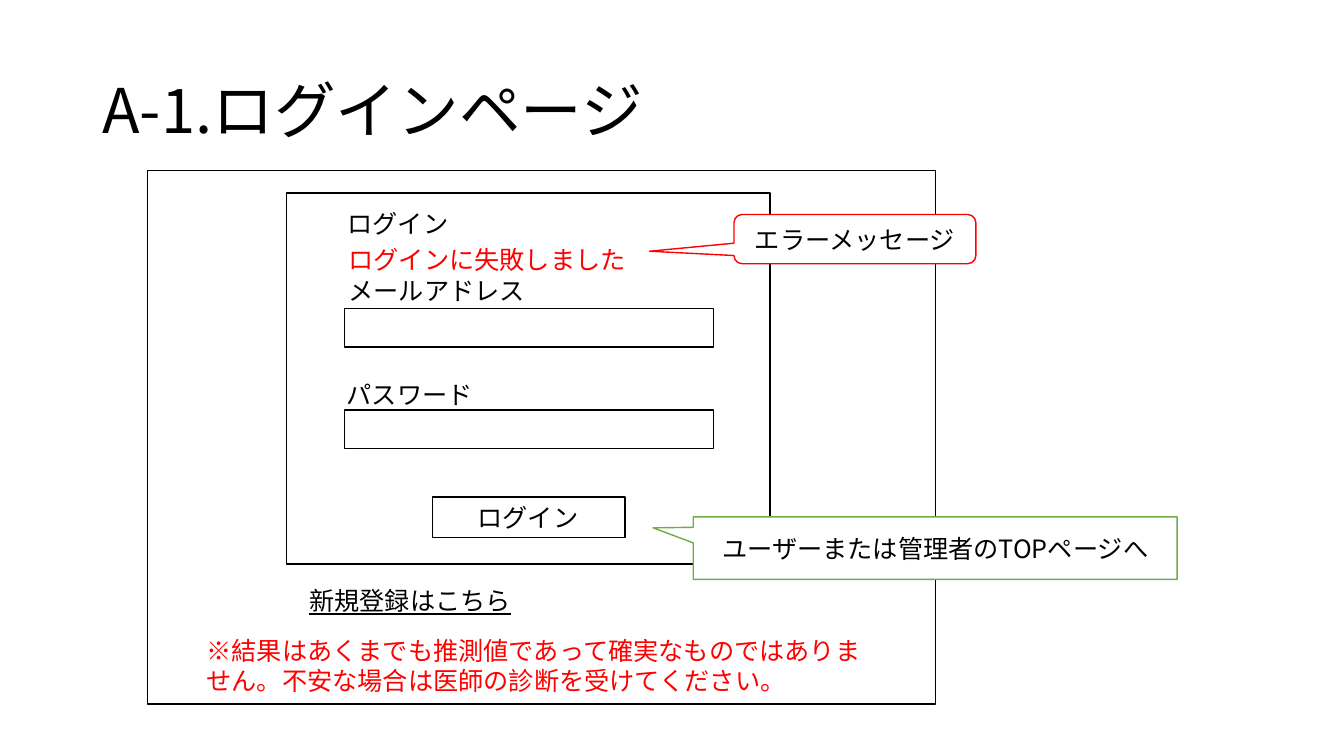
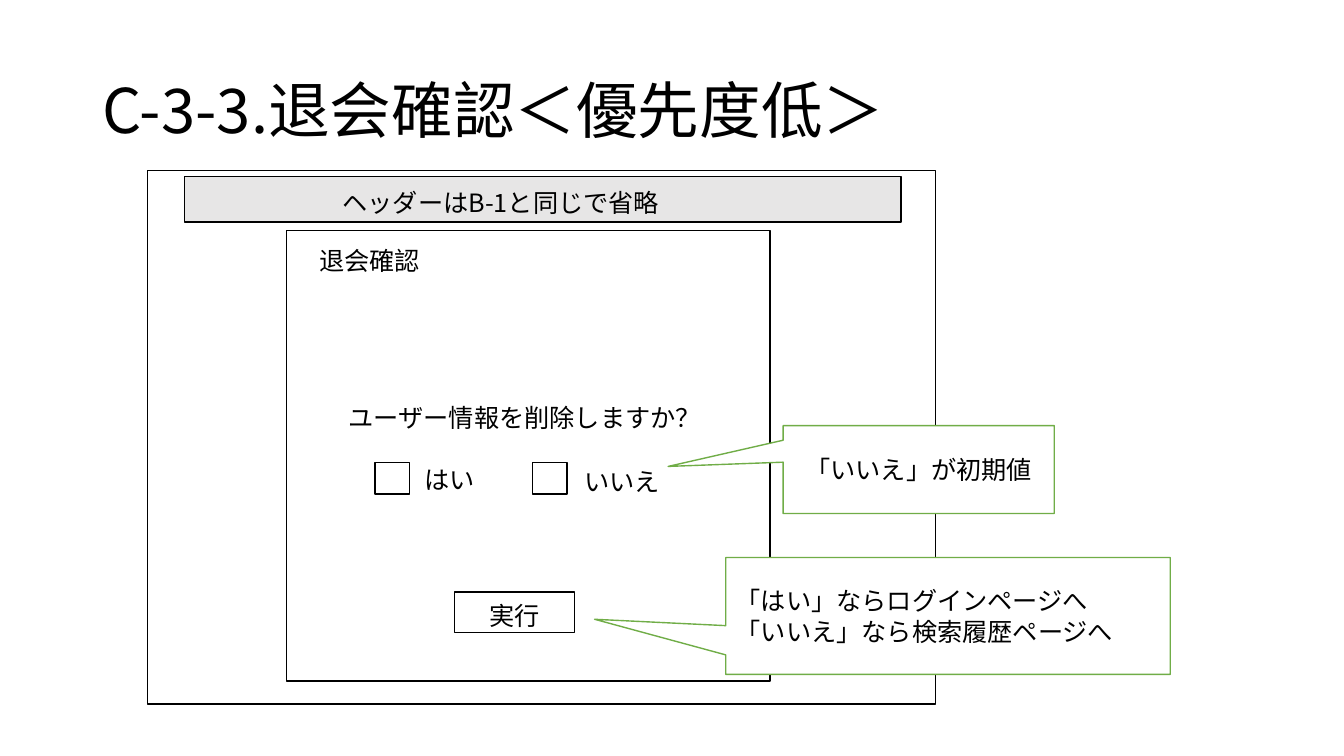
from dataclasses import dataclass

from lxml import etree
from pptx import Presentation
from pptx import util as u
from pptx.dml.color import RGBColor
from pptx.enum import shapes, text
from pptx.oxml import ns


@dataclass(frozen=True)
class Theme:
    font: str = "Noto Sans CJK JP"
    ink: str = "000000"
    paper: str = "FFFFFF"
    alert: str = "FF0000"
    note: str = "70AD47"
    header: str = "E7E6E6"
    title_size: int = 44
    body_size: int = 18
    line_width: int = 1


def set_attributes(target, values):
    for name, value in values.items():
        setattr(target, name, value)


class Wireframe:
    TITLE_BOX = (66, 29, 828, 104.4)
    PAGE_BOX = (105.4, 122, 563, 380.8)
    PANEL_LEFT, PANEL_WIDTH = 204.5, 345.6
    LABEL_HEIGHT = 29

    def __init__(self, theme):
        self.theme = theme
        self.presentation = Presentation()
        set_attributes(self.presentation, {"slide_width": u.Pt(960), "slide_height": u.Pt(540)})
        self.slide = None

    def add_page(self, title, panel_top, panel_height):
        self.slide = self.presentation.slides.add_slide(self.presentation.slide_layouts[5])
        shape = self.slide.shapes.title
        self.place(shape, self.TITLE_BOX)
        self.fill_text(shape, title, size=self.theme.title_size,
                       anchor=text.MSO_ANCHOR.MIDDLE, spacing=0.9)
        self.box(self.PAGE_BOX)
        self.box((self.PANEL_LEFT, panel_top, self.PANEL_WIDTH, panel_height))

    def place(self, shape, box):
        set_attributes(shape, dict(zip(("left", "top", "width", "height"), map(u.Pt, box))))

    def fill_text(self, shape, content, size=None, color=None, underline=None,
                  anchor=text.MSO_ANCHOR.TOP, align=text.PP_ALIGN.LEFT, spacing=None):
        frame = shape.text_frame
        frame.text = content
        set_attributes(frame, {"word_wrap": True, "auto_size": text.MSO_AUTO_SIZE.NONE,
                               "vertical_anchor": anchor})
        for paragraph in frame.paragraphs:
            set_attributes(paragraph, {"alignment": align, "line_spacing": spacing})
            for run in paragraph.runs:
                set_attributes(run.font, {"name": self.theme.font, "underline": underline,
                                          "size": u.Pt(size or self.theme.body_size)})
                run.font.color.rgb = RGBColor.from_string(color or self.theme.ink)
                east_asian = etree.SubElement(run.font._element, ns.qn("a:ea"))
                east_asian.set("typeface", self.theme.font)

    def box(self, box, fill=None, line=None, kind=shapes.MSO_SHAPE.RECTANGLE):
        shape = self.slide.shapes.add_shape(kind, *map(u.Pt, box))
        shape.shadow.inherit = False
        shape.fill.solid()
        shape.fill.fore_color.rgb = RGBColor.from_string(fill or self.theme.paper)
        shape.line.color.rgb = RGBColor.from_string(line or self.theme.ink)
        shape.line.width = u.Pt(self.theme.line_width)
        return shape

    def label(self, content, left, top, width, height=LABEL_HEIGHT, **style):
        shape = self.slide.shapes.add_textbox(*map(u.Pt, (left, top, width, height)))
        self.fill_text(shape, content, **style)

    def callout(self, content, box, pointer, line=None, align=text.PP_ALIGN.CENTER,
                kind=shapes.MSO_SHAPE.RECTANGULAR_CALLOUT):
        shape = self.box(box, line=line or self.theme.note, kind=kind)
        for index, value in enumerate(pointer):
            shape.adjustments[index] = value
        self.fill_text(shape, content, anchor=text.MSO_ANCHOR.MIDDLE, align=align)


def build_login(wireframe):
    theme = wireframe.theme
    wireframe.add_page("A-1.ログインページ", panel_top=137.8, panel_height=265)
    wireframe.label("ログイン", 241.2, 145.4, 146)
    wireframe.label("メールアドレス", 241.9, 193.2, 146)
    wireframe.label("新規登録はこちら", 213.8, 414.3, 203, underline=True)
    wireframe.box((309, 355, 137.5, 29))
    wireframe.label("ログイン", 334, 355, 146)
    wireframe.label("パスワード", 240.5, 267.3, 146)
    for field_top in (220.3, 293):
        wireframe.box((246.2, field_top, 263.5, 27.5))
    wireframe.label("ログインに失敗しました", 241.9, 170.9, 282, color=theme.alert)
    wireframe.label("※結果はあくまでも推測値であって確実なものではありません。"
                    "不安な場合は医師の診断を受けてください。",
                    140.5, 450, 487.4, 51, color=theme.alert)
    wireframe.callout("エラーメッセージ", (524.3, 153.2, 172.8, 35.2), (-0.849, 0.246, 0.167),
                      line=theme.alert, kind=shapes.MSO_SHAPE.ROUNDED_RECTANGULAR_CALLOUT)
    wireframe.callout("ユーザーまたは管理者のTOPページへ", (495.2, 369.2, 345.6, 44.6),
                      (-0.583, -0.324))


def build_withdrawal(wireframe):
    wireframe.add_page("C-3-3.退会確認＜優先度低＞", panel_top=164.5, panel_height=322)
    wireframe.label("退会確認", 221, 172, 207)
    wireframe.label("ユーザー情報を削除しますか？", 241.9, 283.7, 276)
    wireframe.box((324.7, 422.8, 85.7, 29))
    wireframe.label("実行", 342.7, 425.5, 89)
    for choice, box_left, label_left, label_top in (("はい", 267.8, 295.9, 328.3),
                                                    ("いいえ", 380.2, 410.4, 329.3)):
        wireframe.box((box_left, 330.3, 24.7, 22.5))
        wireframe.label(choice, label_left, label_top, 85)
    wireframe.callout("「いいえ」が初期値", (559.4, 304, 193.7, 62.8), (-0.924, -0.035))
    wireframe.box((131.6, 126.1, 512, 32.4), fill=wireframe.theme.header)
    wireframe.label("ヘッダーはB-1と同じで省略", 237.6, 130.3, 252.7)
    wireframe.callout("「はい」ならログインページへ\n「いいえ」なら検索履歴ページへ",
                      (518.4, 398.2, 317.5, 83.5), (-0.795, 0.029), align=text.PP_ALIGN.LEFT)


wireframe = Wireframe(Theme())
build_login(wireframe)
build_withdrawal(wireframe)
wireframe.presentation.save("out.pptx")
